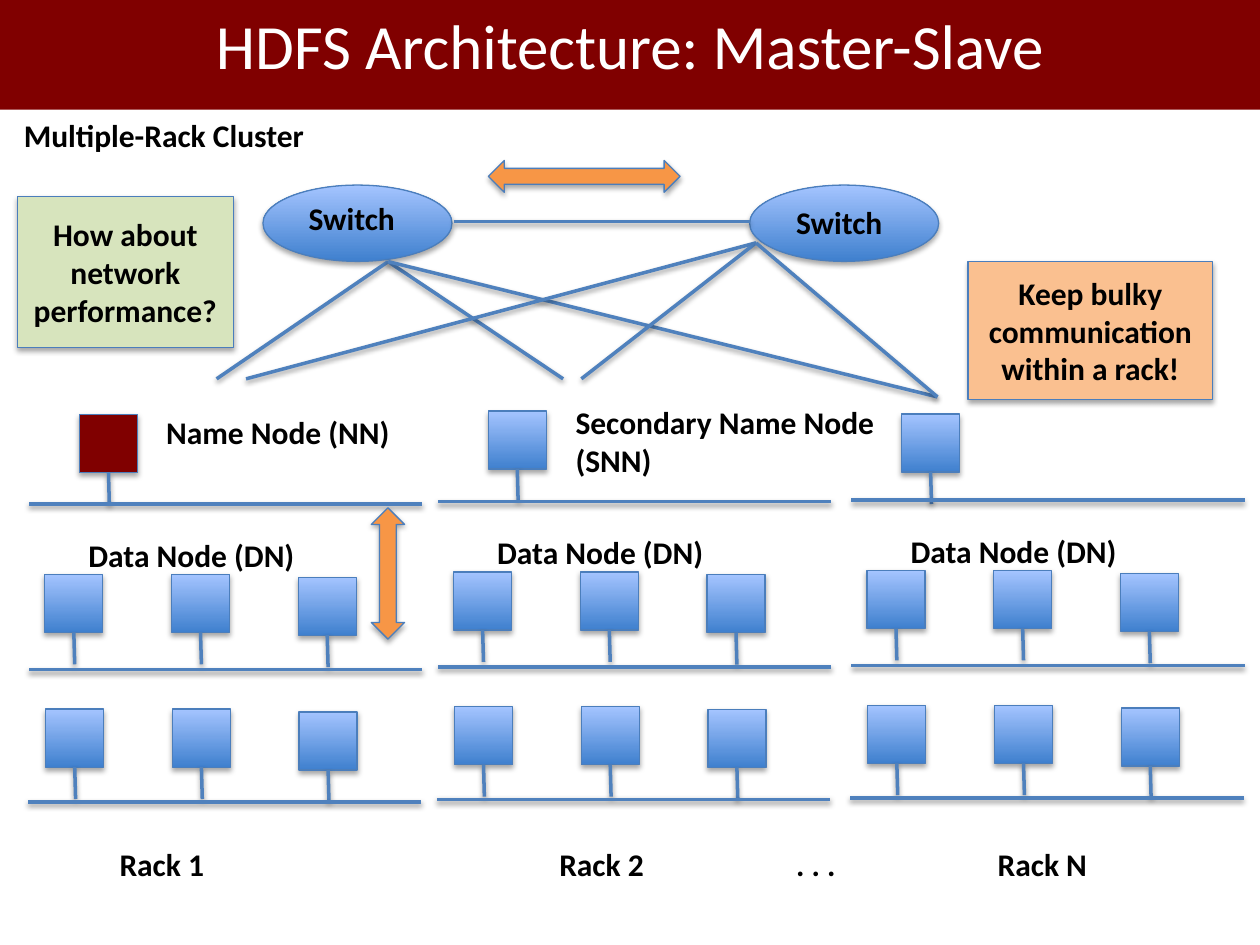
"""Build the HDFS master-slave architecture slide."""
from typing import NamedTuple

from lxml.etree import SubElement
from pptx import Presentation
from pptx.dml.color import RGBColor
from pptx.enum.shapes import MSO_CONNECTOR as Conn, MSO_SHAPE as Shp
from pptx.enum.text import MSO_ANCHOR as Anchor, MSO_AUTO_SIZE as Auto, PP_ALIGN as Align
from pptx.oxml.ns import qn
from pptx.util import Pt

COLORS = {
    "maroon": "800000", "deep": "3F80CE", "light": "A4C4FF", "edge": "4B7EBC",
    "wire": "4F81BD", "orange": "F79646", "peach": "FAC090", "green": "D7E4BD",
    "black": "000000", "white": "FFFFFF",
}
FONT = "Calibri"
NODE = 33.2
STEM = 18.2
PITCH = 72.4
RAIL = 224.8


class Rack(NamedTuple):
    dx: float
    dy: float
    head_top: float
    head_fill: str


class Row(NamedTuple):
    left: float
    top: float
    rail_left: float
    rail_y: float


class Label(NamedTuple):
    text: str
    left: float
    top: float
    width: float
    height: float = 28.8


class Block(NamedTuple):
    kind: int
    left: float
    top: float
    width: float
    height: float
    fill: str = "blue"
    text: str = ""


RACKS = [
    Rack(0, 0, 236.9, "maroon"),
    Rack(233.6, -1.4, 234.9, "blue"),
    Rack(469.8, -2.2, 236.6, "blue"),
]
ROWS = [Row(25.6, 328.2, 16.6, 382.6), Row(26.1, 405.2, 16, 458.2)]
HEAD_LEFT, HEAD_RAIL = 45.4, 288

LABELS = [
    Label("Multiple-Rack Cluster", 6.5, 62.6, 182),
    Label("Name Node (NN)", 87.8, 232.6, 151),
    Label("Secondary Name Node (SNN)", 321.8, 226.8, 231, 51),
    Label("Switch", 169.2, 110.2, 70),
    Label("Switch", 447.8, 112.3, 76),
    Label("Rack 1", 61.2, 479.5, 76),
    Label("Rack 2", 312.5, 479.5, 76),
    Label(". . .", 447.8, 479.5, 48),
    Label("Rack N", 563, 479.5, 76),
]
SWITCHES = [Block(Shp.OVAL, x, 105.8, 108, 43.6) for x in (150.3, 428.4)]
CALLOUTS = [
    Block(Shp.UP_DOWN_ARROW, 212.2, 290.2, 19, 75, "orange"),
    Block(Shp.LEFT_RIGHT_ARROW, 279.1, 91.7, 109.5, 18.2, "orange"),
    Block(Shp.RECTANGLE, 553.2, 149.5, 139.8, 78.8, "peach",
          "Keep bulky communication within a rack!"),
    Block(Shp.RECTANGLE, 10, 112.4, 123.3, 86.2, "green",
          "How about network performance?"),
]
UPLINKS = {
    (221.8, 149.5): [(123.8, 216.5), (321.8, 216.5), (535.7, 226.8)],
    (432, 138.8): [(140.6, 216.5), (332.2, 216.5), (535.7, 226.8)],
}


def rgb(name: str) -> RGBColor:
    return RGBColor.from_string(COLORS[name])


def add_shadow(s, dist: float, alpha: int) -> None:
    effects = SubElement(s._element.spPr, qn("a:effectLst"))
    shadow = SubElement(effects, qn("a:outerShdw"), blurRad=str(Pt(3.1)),
                        dist=str(Pt(dist)), dir="5400000", rotWithShape="0")
    color = SubElement(shadow, qn("a:srgbClr"), val=COLORS["black"])
    SubElement(color, qn("a:alpha"), val=str(alpha * 1000))


def add_run(tf, text: str, size: float = 18, color: str = "black",
            bold: bool = True, align=Align.LEFT) -> None:
    tf.word_wrap = True
    p = tf.paragraphs[0]
    p.alignment = align
    r = p.add_run()
    r.text = text
    r.font.name, r.font.size, r.font.bold = FONT, Pt(size), bold
    r.font.color.rgb = rgb(color)


def add_label(sp, label: Label) -> None:
    s = sp.add_textbox(*map(Pt, label[1:]))
    add_run(s.text_frame, label.text)


def add_block(sp, block: Block):
    s = sp.add_shape(block.kind, *map(Pt, block[1:5]))
    if block.fill == "blue":
        s.fill.gradient()
        s.fill.gradient_angle = 90
        for stop, name in zip(s.fill.gradient_stops, ("deep", "light")):
            stop.color.rgb = rgb(name)
    else:
        s.fill.solid()
        s.fill.fore_color.rgb = rgb(block.fill)
    s.line.color.rgb = rgb("edge")
    s.line.width = Pt(0.75)
    add_shadow(s, 1.8, 35)
    if block.text:
        s.text_frame.vertical_anchor = Anchor.MIDDLE
        add_run(s.text_frame, block.text, align=Align.CENTER)
    return s


def add_wire(sp, x1: float, y1: float, x2: float, y2: float):
    s = sp.add_connector(Conn.STRAIGHT, Pt(x1), Pt(y1), Pt(x2), Pt(y2))
    s.line.color.rgb = rgb("wire")
    s.line.width = Pt(2)
    add_shadow(s, 1.6, 38)
    return s


def add_node(sp, left: float, top: float, fill: str = "blue") -> None:
    node = add_block(sp, Block(Shp.RECTANGLE, left, top, NODE, NODE, fill))
    x, y = left + NODE / 2, top + NODE
    stem = add_wire(sp, x, y, x + 0.5, y + STEM)
    stem.begin_connect(node, 2)


def add_rack(sp, rack: Rack) -> None:
    dx, dy = rack.dx, rack.dy
    add_node(sp, HEAD_LEFT + dx, rack.head_top, rack.head_fill)
    rails = [(ROWS[0].rail_left, HEAD_RAIL)]
    for row in ROWS:
        for col, drop in enumerate((0, 0, 1.6)):
            add_node(sp, row.left + dx + col * PITCH, row.top + dy + drop)
        rails.append((row.rail_left, row.rail_y))
    for x, y in rails:
        add_wire(sp, x + dx, y + dy, x + dx + RAIL, y + dy)
    add_label(sp, Label("Data Node (DN)", 43.4 + dx, 302.6 + dy, 151, 20.2))


def add_title(s, text: str) -> None:
    title = s.shapes.title
    title.left, title.top, title.width, title.height = map(Pt, (0, -11.5, 720, 74.2))
    title.fill.solid()
    title.fill.fore_color.rgb = rgb("maroon")
    tf = title.text_frame
    tf.auto_size = Auto.NONE
    tf.vertical_anchor = Anchor.MIDDLE
    add_run(tf, text, 36, "white", False, Align.CENTER)


def main() -> None:
    prs = Presentation()
    prs.slide_width, prs.slide_height = Pt(720), Pt(540)
    s = prs.slides.add_slide(prs.slide_layouts[5])
    sp = s.shapes
    add_title(s, "HDFS Architecture: Master-Slave")
    for rack in RACKS:
        add_rack(sp, rack)
    for switch in SWITCHES:
        add_block(sp, switch)
    add_wire(sp, 259.2, 126.7, 428.4, 126.7)
    for start, ends in UPLINKS.items():
        for end in ends:
            add_wire(sp, *start, *end)
    for label in LABELS:
        add_label(sp, label)
    for callout in CALLOUTS:
        add_block(sp, callout)
    prs.save("out.pptx")


if __name__ == "__main__":
    main()
